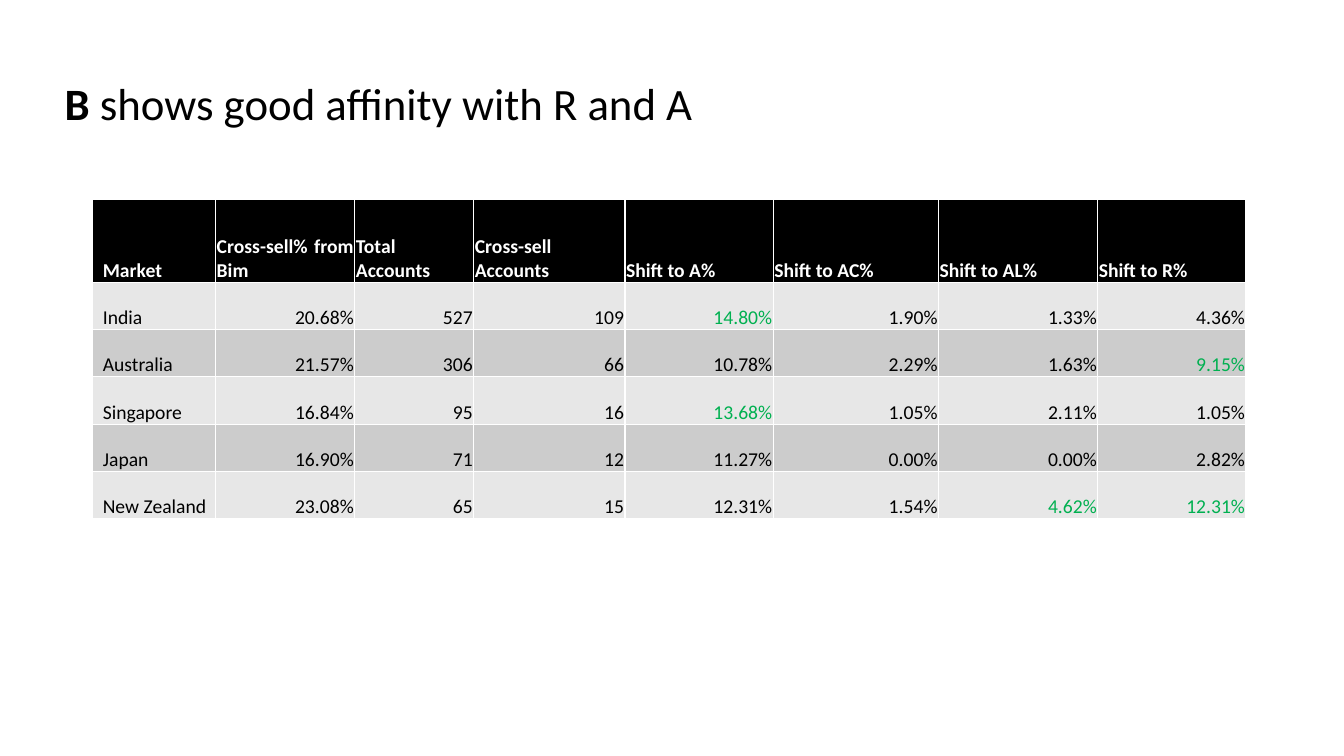
from lxml.etree import SubElement
from pptx import Presentation
from pptx.dml.color import RGBColor
from pptx.enum.text import MSO_ANCHOR, PP_ALIGN
from pptx.oxml.ns import qn
from pptx.util import Inches, Pt

BLACK = RGBColor(0x00, 0x00, 0x00)
WHITE = RGBColor(0xFF, 0xFF, 0xFF)
GREEN = RGBColor(0x00, 0xB0, 0x50)
LIGHT = RGBColor(0xE7, 0xE7, 0xE7)
DARK = RGBColor(0xCC, 0xCC, 0xCC)
FONT = "Calibri"

WIDTH, HEIGHT = 13.33, 7.5
COLS = [1.22, 1.38, 1.18, 1.5, 1.47, 1.64, 1.58, 1.47]
HEAD, ROW = 0.82, 0.47

ROWS = [
    ["Market", "Cross-sell% from Bim", "Total Accounts", "Cross-sell Accounts",
     "Shift to A%", "Shift to AC%", "Shift to AL%", "Shift to R%"],
    ["India", "20.68%", "527", "109", "14.80%", "1.90%", "1.33%", "4.36%"],
    ["Australia", "21.57%", "306", "66", "10.78%", "2.29%", "1.63%", "9.15%"],
    ["Singapore", "16.84%", "95", "16", "13.68%", "1.05%", "2.11%", "1.05%"],
    ["Japan", "16.90%", "71", "12", "11.27%", "0.00%", "0.00%", "2.82%"],
    ["New Zealand", "23.08%", "65", "15", "12.31%", "1.54%", "4.62%", "12.31%"],
]
# Highlighted values as (row, column)
HIGH = {(1, 4), (2, 7), (3, 4), (5, 6), (5, 7)}


def write(para, text, size=14, color=BLACK, bold=False, align=None):
    """Add one formatted run to a paragraph."""
    run = para.add_run()
    run.text = text
    font = run.font
    font.name, font.size, font.bold = FONT, Pt(size), bold
    font.color.rgb = color
    if align is not None:
        para.alignment = align


def border(cell, color, width):
    """Draw all four sides of a cell; call before the fill is set."""
    props = cell._tc.get_or_add_tcPr()
    for side in ("a:lnL", "a:lnR", "a:lnT", "a:lnB"):
        line = SubElement(props, qn(side), w=str(Pt(width)))
        fill = SubElement(line, qn("a:solidFill"))
        SubElement(fill, qn("a:srgbClr"), val=str(color))


def heading(slide, left, top, width, height):
    title = slide.shapes.title
    title.left, title.top = Inches(left), Inches(top)
    title.width, title.height = Inches(width), Inches(height)
    frame = title.text_frame
    frame.word_wrap = True
    frame.vertical_anchor = MSO_ANCHOR.MIDDLE
    para = frame.paragraphs[0]
    para.line_spacing = 0.9
    write(para, "B", size=32, bold=True, align=PP_ALIGN.LEFT)
    write(para, " shows good affinity with R and A", size=32)


def style(cell, text, row, col):
    """Format one cell by its place in the table."""
    head, first = row == 0, col == 0
    cell.vertical_anchor = MSO_ANCHOR.BOTTOM
    cell.margin_left = Inches(0.1 if first else 0.01)
    cell.margin_right = cell.margin_top = Inches(0.01)
    cell.margin_bottom = 0
    border(cell, WHITE, 1)
    cell.fill.solid()
    cell.fill.fore_color.rgb = BLACK if head else LIGHT if row % 2 else DARK
    para = cell.text_frame.paragraphs[0]
    if head:
        write(para, text, color=WHITE, bold=True, align=PP_ALIGN.JUSTIFY)
    else:
        write(para, text, color=GREEN if (row, col) in HIGH else BLACK,
              align=PP_ALIGN.LEFT if first else PP_ALIGN.RIGHT)


def market(slide, left, top, width, height):
    frame = slide.shapes.add_table(len(ROWS), len(COLS), Inches(left),
                                   Inches(top), Inches(width), Inches(height))
    table = frame.table
    for col, size in enumerate(COLS):
        table.columns[col].width = Inches(width * size / sum(COLS))
    for row, texts in enumerate(ROWS):
        table.rows[row].height = Inches(ROW if row else HEAD)
        for col, text in enumerate(texts):
            style(table.cell(row, col), text, row, col)


def main():
    deck = Presentation()
    deck.slide_width, deck.slide_height = Inches(WIDTH), Inches(HEIGHT)
    slide = deck.slides.add_slide(deck.slide_layouts[5])
    # Title across the top
    heading(slide, 0.54, 0.49, 0.92 * WIDTH, 0.15 * HEIGHT)
    # Table of markets
    market(slide, 0.92, 1.98, sum(COLS), HEAD + ROW * (len(ROWS) - 1))
    deck.save("out.pptx")


if __name__ == "__main__":
    main()
